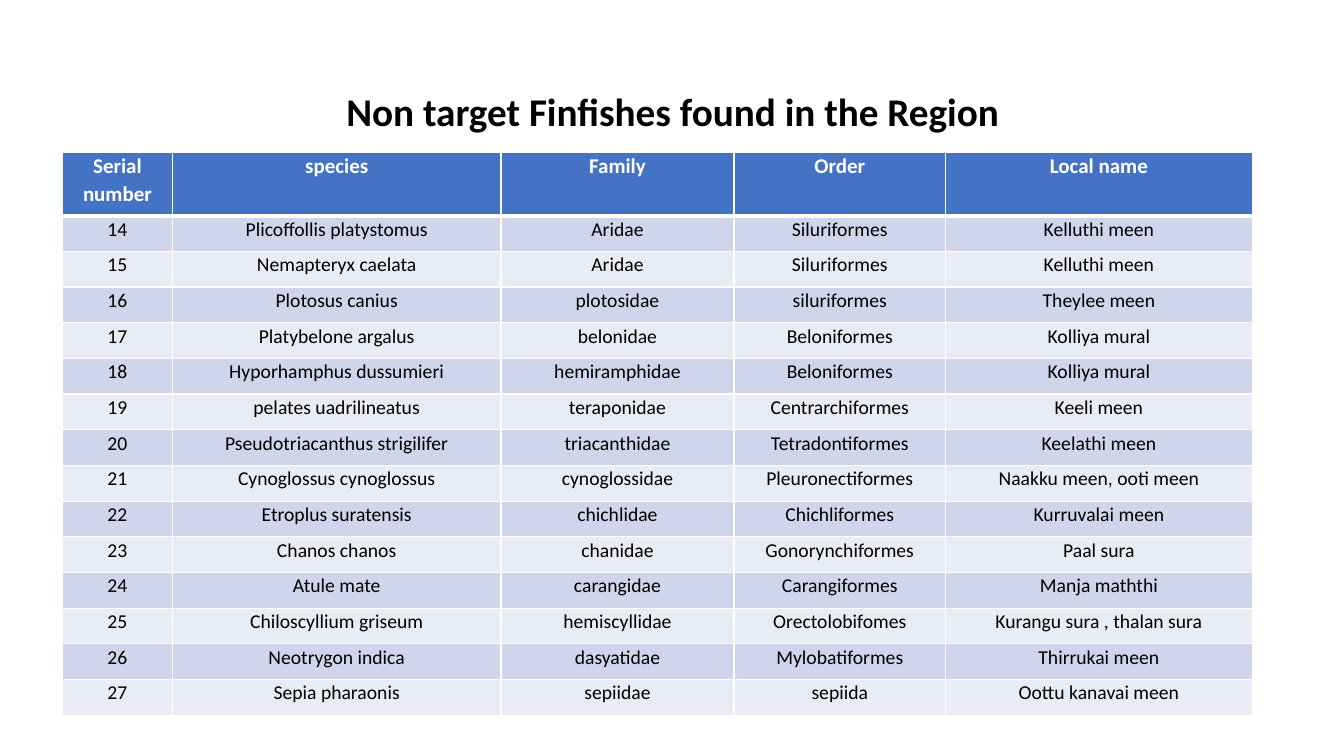
from lxml.etree import SubElement
from pptx import Presentation
from pptx.dml.color import RGBColor
from pptx.enum.text import MSO_ANCHOR, PP_ALIGN
from pptx.oxml.ns import qn
from pptx.util import Inches, Pt

TITLE = "Non target Finfishes found in the Region"
HEADINGS = ("Serial number", "species", "Family", "Order", "Local name")
FIRST_SERIAL = 14
FISHES = [
    ("Plicoffollis platystomus", "Aridae", "Siluriformes", "Kelluthi meen"),
    ("Nemapteryx caelata", "Aridae", "Siluriformes", "Kelluthi meen"),
    ("Plotosus canius", "plotosidae", "siluriformes", "Theylee meen"),
    ("Platybelone argalus", "belonidae", "Beloniformes", "Kolliya mural"),
    ("Hyporhamphus dussumieri", "hemiramphidae", "Beloniformes", "Kolliya mural"),
    ("pelates uadrilineatus", "teraponidae", "Centrarchiformes", "Keeli meen"),
    ("Pseudotriacanthus strigilifer", "triacanthidae", "Tetradontiformes", "Keelathi meen"),
    ("Cynoglossus cynoglossus", "cynoglossidae", "Pleuronectiformes", "Naakku meen, ooti meen"),
    ("Etroplus suratensis", "chichlidae", "Chichliformes", "Kurruvalai meen"),
    ("Chanos chanos", "chanidae", "Gonorynchiformes", "Paal sura"),
    ("Atule mate", "carangidae", "Carangiformes", "Manja maththi"),
    ("Chiloscyllium griseum", "hemiscyllidae", "Orectolobifomes", "Kurangu sura , thalan sura"),
    ("Neotrygon indica", "dasyatidae", "Mylobatiformes", "Thirrukai meen"),
    ("Sepia pharaonis", "sepiidae", "sepiida", "Oottu kanavai meen"),
]

FONT = "Calibri"
BLACK = RGBColor(0x00, 0x00, 0x00)
WHITE = RGBColor(0xFF, 0xFF, 0xFF)
HEADING_BLUE = RGBColor(0x44, 0x72, 0xC4)
BANDS = (RGBColor(0xCF, 0xD5, 0xEA), RGBColor(0xE9, 0xEB, 0xF5))

COLUMN_WIDTHS = (1.09, 3.26, 2.31, 2.1, 3.04)
TABLE_LEFT, TABLE_TOP, TABLE_HEIGHT = 0.62, 1.51, 5.59
HEADING_HEIGHT = 0.63
FISH_HEIGHT = (TABLE_HEIGHT - HEADING_HEIGHT) / len(FISHES)


def style_text(frame, size, color, bold, spacing):
    paragraph = frame.paragraphs[0]
    paragraph.alignment = PP_ALIGN.CENTER
    paragraph.line_spacing = spacing
    font = paragraph.runs[0].font
    font.name, font.size, font.bold = FONT, Pt(size), bold
    font.color.rgb = color


def add_borders(cell, top, bottom):
    properties = cell._tc.get_or_add_tcPr()
    for side, points in (("lnL", 1), ("lnR", 1), ("lnT", top), ("lnB", bottom)):
        border = SubElement(properties, qn(f"a:{side}"), w=str(Pt(points)))
        fill = SubElement(border, qn("a:solidFill"))
        SubElement(fill, qn("a:srgbClr"), val=str(WHITE))


def fill_cell(cell, wording, row):
    heading = row == 0
    cell.text_frame.text = wording
    cell.margin_left = cell.margin_right = Inches(0.06)
    cell.margin_top = cell.margin_bottom = 0
    add_borders(cell, top=3 if row == 1 else 1, bottom=3 if heading else 1)
    cell.fill.solid()
    cell.fill.fore_color.rgb = HEADING_BLUE if heading else BANDS[(row - 1) % 2]
    style_text(cell.text_frame, 15 if heading else 14,
               WHITE if heading else BLACK, heading, 1.07)


def main():
    deck = Presentation()
    deck.slide_width, deck.slide_height = Inches(13.33), Inches(7.5)
    slide = deck.slides.add_slide(deck.slide_layouts[6])

    title = slide.shapes.add_textbox(
        Inches(0.92), Inches(0.4), Inches(11.5), Inches(1.45)).text_frame
    title.word_wrap = True
    title.vertical_anchor = MSO_ANCHOR.MIDDLE
    title.text = TITLE
    style_text(title, 28, BLACK, True, 0.9)

    rows = [HEADINGS] + [(str(serial), *fish)
                         for serial, fish in enumerate(FISHES, FIRST_SERIAL)]
    table = slide.shapes.add_table(
        len(rows), len(HEADINGS), Inches(TABLE_LEFT), Inches(TABLE_TOP),
        Inches(sum(COLUMN_WIDTHS)), Inches(TABLE_HEIGHT)).table
    for column, width in zip(table.columns, COLUMN_WIDTHS):
        column.width = Inches(width)
    for row, wordings in enumerate(rows):
        table.rows[row].height = Inches(FISH_HEIGHT if row else HEADING_HEIGHT)
        for column, wording in enumerate(wordings):
            fill_cell(table.cell(row, column), wording, row)

    deck.save("out.pptx")


if __name__ == "__main__":
    main()
